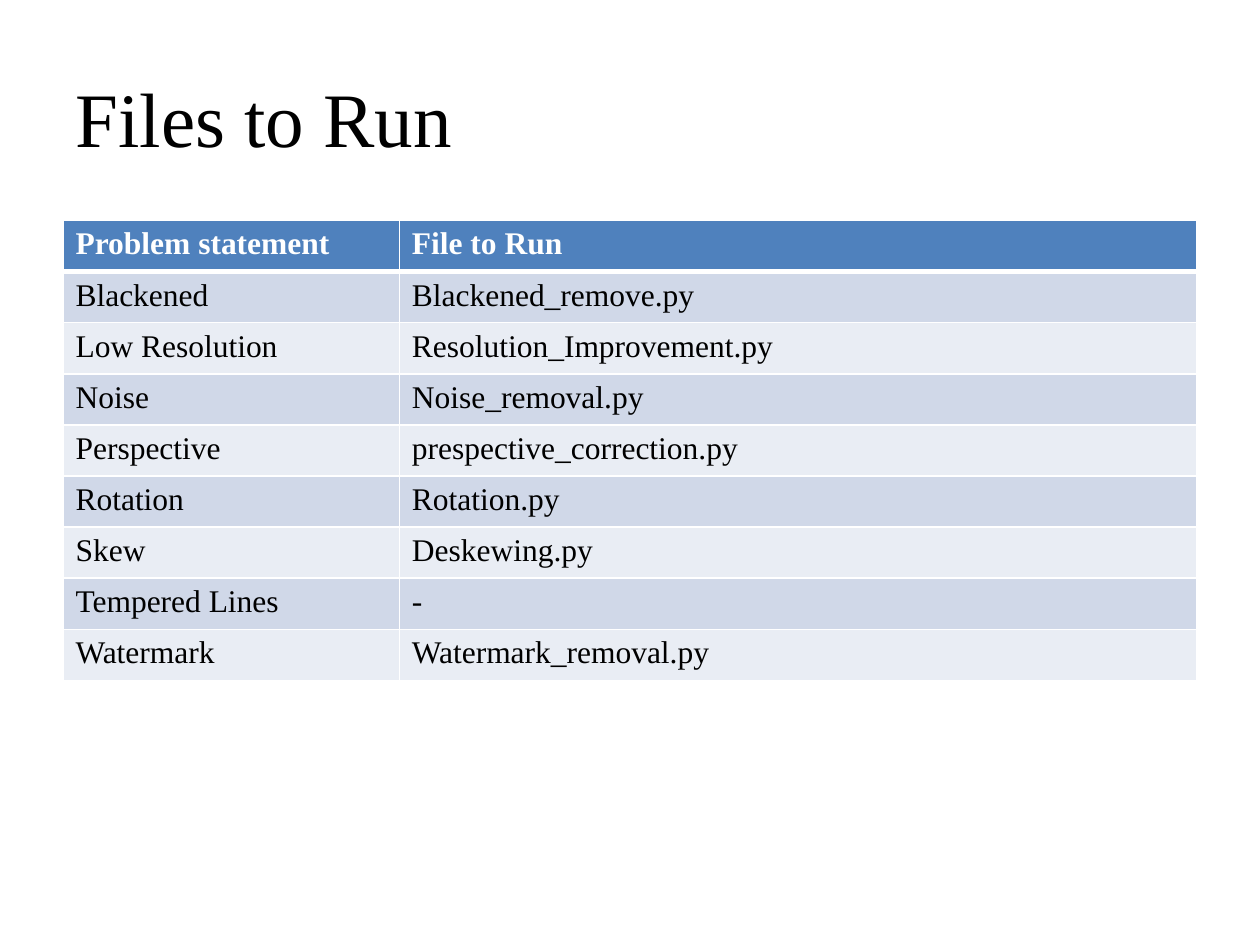
from pptx import Presentation
from pptx.dml.color import RGBColor
from pptx.enum import text
from pptx.oxml import parse_xml
from pptx.oxml.ns import nsdecls
from pptx.util import Pt

FONT = "Times New Roman"
BLACK = RGBColor(0x00, 0x00, 0x00)
WHITE = RGBColor(0xFF, 0xFF, 0xFF)
BLUE = RGBColor(0x4F, 0x81, 0xBD)
BANDS = (RGBColor(0xE9, 0xED, 0xF4), RGBColor(0xD0, 0xD8, 0xE8))

ROWS = [
    ("Problem statement", "File to Run"),
    ("Blackened", "Blackened_remove.py"),
    ("Low Resolution", "Resolution_Improvement.py"),
    ("Noise", "Noise_removal.py"),
    ("Perspective", "prespective_correction.py"),
    ("Rotation", "Rotation.py"),
    ("Skew", "Deskewing.py"),
    ("Tempered Lines", "-"),
    ("Watermark", "Watermark_removal.py"),
]


def add_run(para, words, size, color, bold=False):
    run = para.add_run()
    run.text = words
    font = run.font
    font.name, font.size, font.bold = FONT, Pt(size), bold
    font.color.rgb = color


def set_edge(cell, side, width):
    cell._tc.get_or_add_tcPr().append(parse_xml(
        f'<a:{side} {nsdecls("a")} w="{Pt(width)}"><a:solidFill>'
        f'<a:srgbClr val="{WHITE}"/></a:solidFill></a:{side}>'))


def add_title(slide, left, top, width, height):
    title = slide.shapes.title
    title.left, title.top = Pt(left), Pt(top)
    title.width, title.height = Pt(width), Pt(height)
    frame = title.text_frame
    frame.vertical_anchor = text.MSO_ANCHOR.MIDDLE
    para = frame.paragraphs[0]
    para.alignment = text.PP_ALIGN.LEFT
    add_run(para, "Files to Run", 44, BLACK)


def add_files(slide, left, top, width, height):
    table = slide.shapes.add_table(
        len(ROWS), 2, Pt(left), Pt(top), Pt(width), Pt(height)).table
    first = 192.24
    table.columns[0].width = Pt(first)
    table.columns[1].width = Pt(width - first)
    for r, row in enumerate(ROWS):
        table.rows[r].height = Pt(height / len(ROWS))
        head = r == 0
        for c, words in enumerate(row):
            cell = table.cell(r, c)
            # Thick rule between the header and the body
            set_edge(cell, "lnL", 1)
            set_edge(cell, "lnR", 1)
            set_edge(cell, "lnT", 3 if r == 1 else 1)
            set_edge(cell, "lnB", 3 if head else 1)
            cell.fill.solid()
            cell.fill.fore_color.rgb = BLUE if head else BANDS[r % 2]
            add_run(cell.text_frame.paragraphs[0], words, 18,
                    WHITE if head else BLACK, head)


def main():
    deck = Presentation()
    deck.slide_width, deck.slide_height = Pt(720), Pt(540)
    slide = deck.slides.add_slide(deck.slide_layouts[5])
    add_title(slide, 36, 21.6, 648, 90)
    add_files(slide, 36, 126, 648, 262.8)
    deck.save("out.pptx")


if __name__ == "__main__":
    main()
